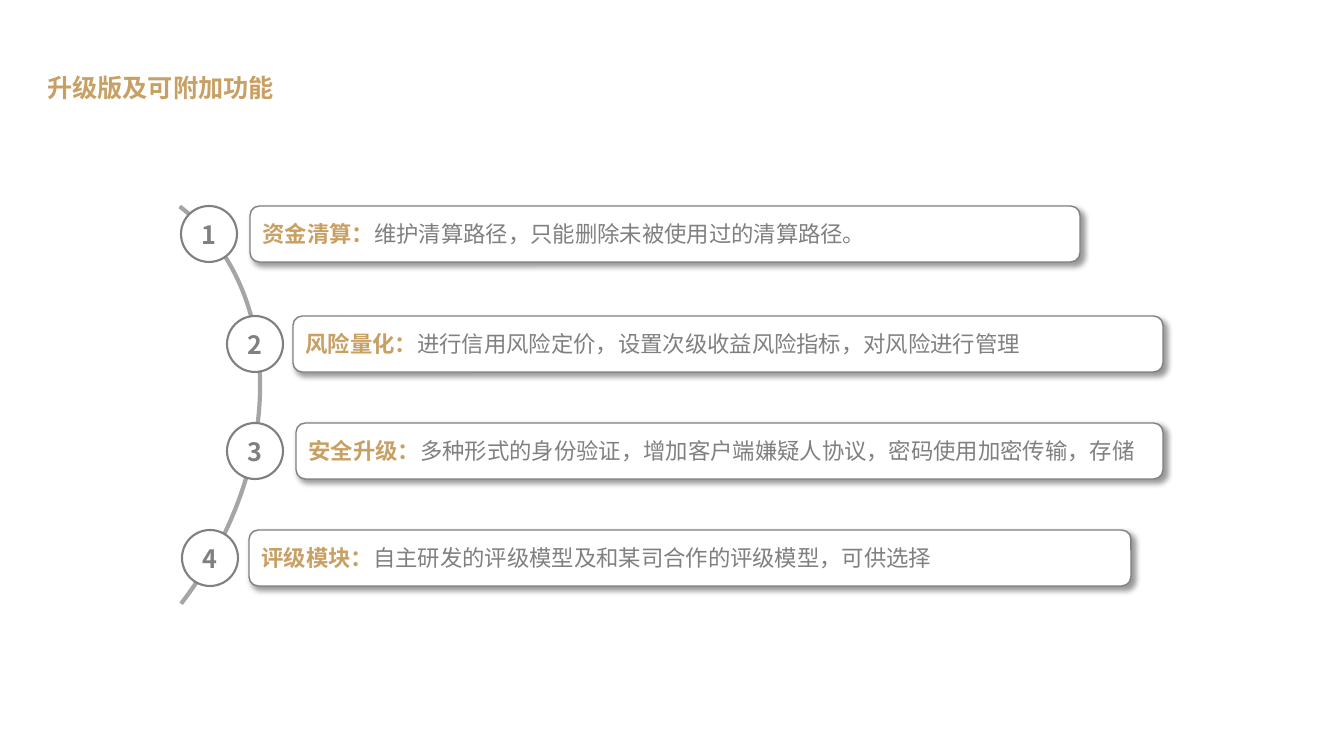
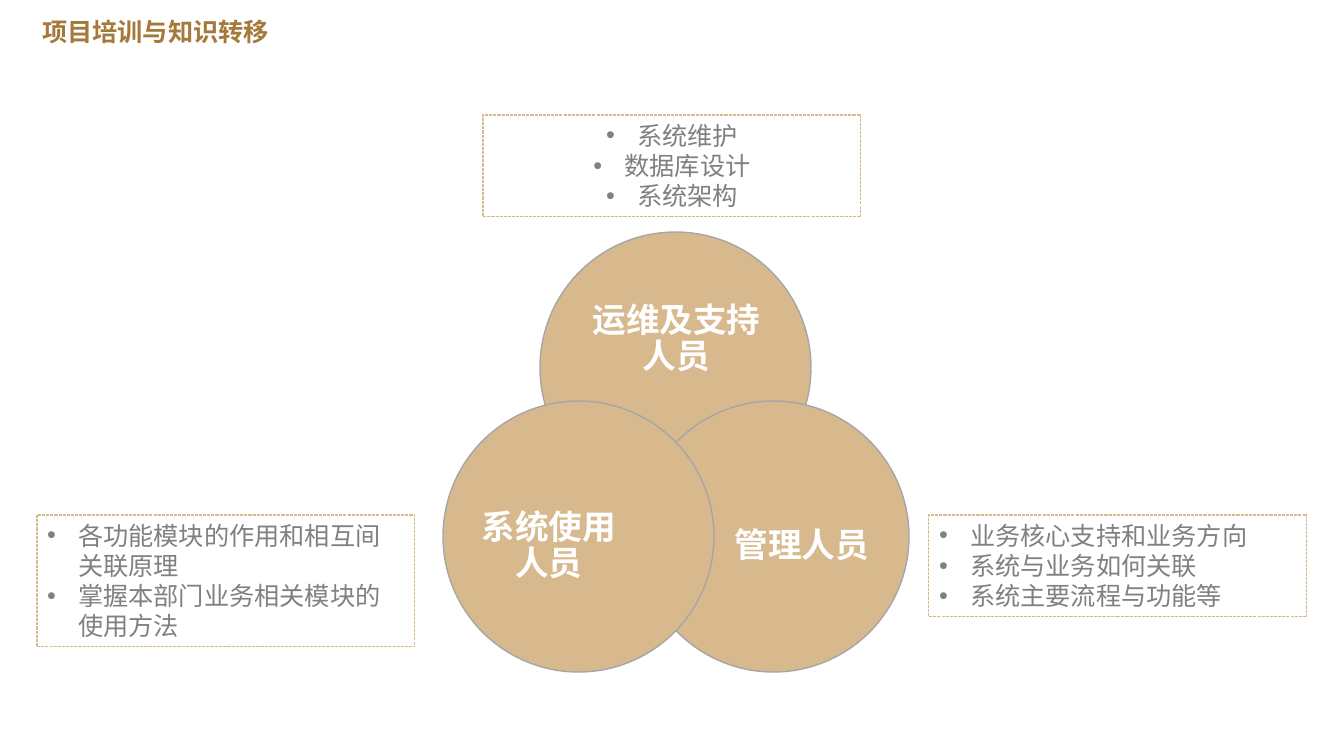
from lxml.etree import SubElement
from pptx import Presentation
from pptx.dml.color import RGBColor
from pptx.enum.dml import MSO_LINE
from pptx.enum.shapes import MSO_SHAPE
from pptx.enum.text import MSO_ANCHOR, MSO_AUTO_SIZE, PP_ALIGN
from pptx.oxml.ns import qn
from pptx.util import Pt

PX = 914400 / 100.8
HUES = {"gold": "C8A063", "brown": "A4793A", "tan": "D7B98D", "grey": "808080",
        "curve": "A5A5A5", "edge": "A6A6A6", "white": "FFFFFF", "black": "000000"}
FACE = "Noto Sans CJK SC"


def px(*nums):
    return [round(n * PX) for n in nums]


def style(font, size, hue, bold=False, face=FACE):
    font.size, font.bold, font.name = Pt(size), bold, face
    font.color.rgb = RGBColor.from_string(HUES[hue])
    SubElement(font._rPr, qn("a:ea")).set("typeface", face)


deck = Presentation()
deck.slide_width, deck.slide_height = px(1344, 756)

# Slides and their titles
heads = [
    (5, "升级版及可附加功能", "gold", (37, 63, 1281, 43)),
    (4, "项目培训与知识转移", "brown", (32, 7, 300, 45)),
]
for kind, text, hue, spot in heads:
    slide = deck.slides.add_slide(deck.slide_layouts[kind])
    title = slide.shapes.title
    title.left, title.top, title.width, title.height = px(*spot)
    frame = title.text_frame
    frame.text = text
    frame.auto_size = MSO_AUTO_SIZE.NONE
    frame.vertical_anchor = MSO_ANCHOR.TOP
    para = frame.paragraphs[0]
    para.alignment = PP_ALIGN.LEFT
    para.line_spacing = 1.15
    style(para.font, 18, hue, True)
first, second = deck.slides

# Slide 1: curve behind the numbers
arc = first.shapes.add_shape(MSO_SHAPE.ARC, *px(-256, 141, 488, 627))
arc.rotation = 37.7
arc.shadow.inherit = False
arc.fill.background()
arc.line.color.rgb = RGBColor.from_string(HUES["curve"])
arc.line.width = Pt(3)

# Slide 1: numbered bars (top, circle left, bar left, bar width)
SIDE = 56
rows = [
    (206, 181, 250, 830, "资金清算：", "维护清算路径，只能删除未被使用过的清算路径。"),
    (316, 227, 293, 870, "风险量化：", "进行信用风险定价，设置次级收益风险指标，对风险进行管理"),
    (423, 227, 296, 867, "安全升级：",
     "多种形式的身份验证，增加客户端嫌疑人协议，密码使用加密传输，存储"),
    (530, 182, 249, 882, "评级模块：", "自主研发的评级模型及和某司合作的评级模型，可供选择"),
]
for num, (top, left, start, wide, name, note) in enumerate(rows, 1):
    bar = first.shapes.add_shape(MSO_SHAPE.ROUNDED_RECTANGLE, *px(start, top, wide, SIDE))
    disc = first.shapes.add_shape(MSO_SHAPE.OVAL, *px(left, top, SIDE, SIDE))
    for shape, width in ((bar, 1), (disc, 1.5)):
        shape.shadow.inherit = False
        shape.fill.solid()
        shape.fill.fore_color.rgb = RGBColor.from_string(HUES["white"])
        shape.line.color.rgb = RGBColor.from_string(HUES["grey"])
        shape.line.width = Pt(width)
        shape.text_frame.vertical_anchor = MSO_ANCHOR.MIDDLE

    effect = bar._element.spPr.find(qn("a:effectLst"))
    shade = SubElement(effect, qn("a:outerShdw"), blurRad=str(Pt(4)), dist=str(Pt(3)),
                       dir="2700000", algn="tl", rotWithShape="0")
    tone = SubElement(shade, qn("a:srgbClr"), val=HUES["black"])
    SubElement(tone, qn("a:alpha"), val="40000")

    para = bar.text_frame.paragraphs[0]
    para.alignment = PP_ALIGN.LEFT
    for text, hue, bold in ((name, "gold", True), (note, "grey", False)):
        run = para.add_run()
        run.text = text
        style(run.font, 16, hue, bold)

    disc.text_frame.text = str(num)
    para = disc.text_frame.paragraphs[0]
    para.alignment = PP_ALIGN.CENTER
    style(para.font, 18, "grey", True, "Noto Sans CJK TC")

# Slide 2: overlapping circles, each with its label
SPAN = 271
rings = [
    (540, 232, "运维及支持人员", (577, 279, 199, 122)),
    (638, 401, "管理人员", (721, 472, 162, 149)),
    (443, 401, "系统使用人员", (468, 472, 162, 149)),
]
for left, top, text, spot in rings:
    ring = second.shapes.add_shape(MSO_SHAPE.OVAL, *px(left, top, SPAN, SPAN))
    ring.shadow.inherit = False
    ring.fill.solid()
    ring.fill.fore_color.rgb = RGBColor.from_string(HUES["tan"])
    ring.line.color.rgb = RGBColor.from_string(HUES["edge"])
    ring.line.width = Pt(1)
    frame = second.shapes.add_textbox(*px(*spot)).text_frame
    frame.word_wrap = True
    frame.vertical_anchor = MSO_ANCHOR.MIDDLE
    frame.margin_left = frame.margin_right = frame.margin_top = frame.margin_bottom = 0
    frame.text = text
    para = frame.paragraphs[0]
    para.alignment = PP_ALIGN.CENTER
    para.line_spacing = 0.9
    style(para.font, 24, "white", True)

# Slide 2: bulleted lists in the body placeholders
lists = [
    (929, 515, 102, PP_ALIGN.LEFT,
     ["业务核心支持和业务方向", "系统与业务如何关联", "系统主要流程与功能等"]),
    (483, 115, 102, PP_ALIGN.CENTER, ["系统维护", "数据库设计", "系统架构"]),
    (37, 515, 132, PP_ALIGN.LEFT,
     ["各功能模块的作用和相互间关联原理", "掌握本部门业务相关模块的使用方法"]),
]
dent = px(31)[0]
spare, *bodies = list(second.placeholders)[1:]
spare._element.getparent().remove(spare._element)
for body, (left, top, high, align, items) in zip(bodies, lists):
    body.left, body.top, body.width, body.height = px(left, top, 378, high)
    body.line.color.rgb = RGBColor.from_string(HUES["tan"])
    body.line.width = Pt(0.75)
    body.line.dash_style = MSO_LINE.SQUARE_DOT
    frame = body.text_frame
    frame.text = "\n".join(items)
    frame.auto_size = MSO_AUTO_SIZE.NONE
    frame.vertical_anchor = MSO_ANCHOR.TOP
    for para in frame.paragraphs:
        para.alignment = align
        para.space_before = Pt(0)
        props = para._p.get_or_add_pPr()
        props.set("marL", str(dent))
        props.set("indent", str(-dent))
        SubElement(props, qn("a:buFont"), typeface="Arial")
        SubElement(props, qn("a:buChar"), char="•")
        style(para.font, 18, "grey")

deck.save("out.pptx")
